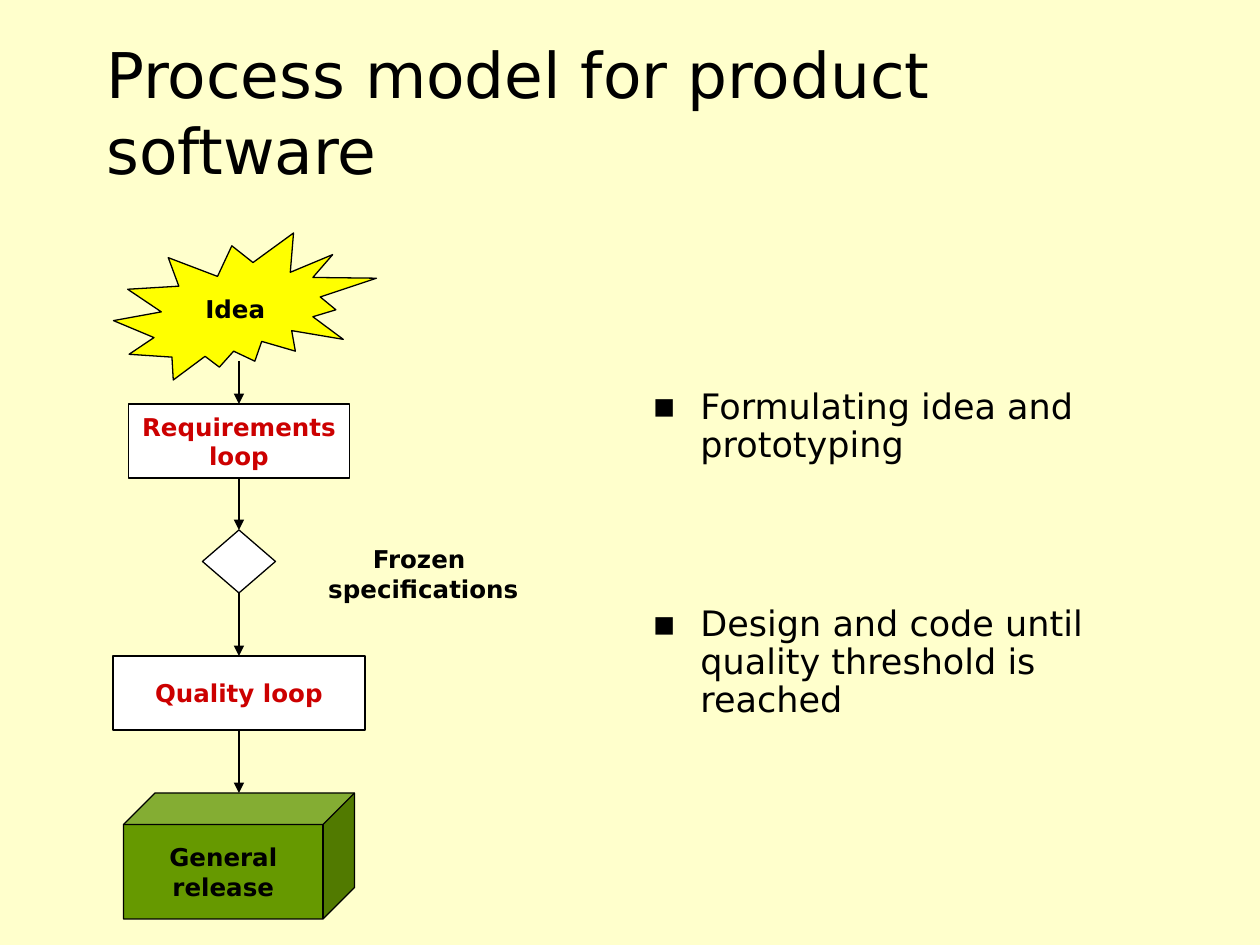
from lxml.etree import SubElement as Sub
from pptx import Presentation
from pptx.dml.color import RGBColor
from pptx.enum.shapes import MSO_CONNECTOR as Conn, MSO_SHAPE as Kind
from pptx.enum.text import MSO_ANCHOR as Anchor, PP_ALIGN as Align
from pptx.oxml.ns import qn
from pptx.util import Emu, Pt

SCALE = 914400 / 126
FONT = "DejaVu Sans"
BLACK, WHITE, RED = "000000", "FFFFFF", "CC0000"
CREAM, YELLOW, GREEN = "FFFFCC", "FFFF00", "669900"
AXIS = 239  # centre line of the flow


def px(n):
    return Emu(round(n * SCALE))


def paint(fmt, color):
    fmt.solid()
    fmt.fore_color.rgb = RGBColor.from_string(color)


def add_run(para, text, size, color=BLACK, bold=False):
    run = para.add_run()
    run.text = text
    run.font.name = FONT
    run.font.size = Pt(size)
    run.font.bold = bold
    run.font.color.rgb = RGBColor.from_string(color)


def set_label(shape, lines, color=BLACK):
    """Centred bold text, with a line break between lines."""
    shape.text_frame.word_wrap = True
    para = shape.text_frame.paragraphs[0]
    para.alignment = Align.CENTER
    for i, line in enumerate(lines):
        if i:
            para.add_line_break()
        add_run(para, line, 14, color, True)


def add_box(slide, x, y, w, h):
    box = slide.shapes.add_textbox(px(x), px(y), px(w), px(h))
    box.text_frame.word_wrap = True
    return box


def add_node(slide, kind, mid, y, w, h, fill, lines=(), color=BLACK):
    node = slide.shapes.add_shape(kind, px(mid - w / 2), px(y), px(w), px(h))
    node.shadow.inherit = False
    paint(node.fill, fill)
    paint(node.line.fill, BLACK)
    node.line.width = Pt(0.75)
    node.text_frame.vertical_anchor = Anchor.MIDDLE
    set_label(node, lines, color)


def add_arrow(slide, top, end):
    arrow = slide.shapes.add_connector(
        Conn.STRAIGHT, px(AXIS), px(top), px(AXIS), px(end))
    paint(arrow.line.fill, BLACK)
    arrow.line.width = Pt(0.75)
    Sub(arrow.line._get_or_add_ln(), qn("a:tailEnd"), type="triangle")
    Sub(arrow._element.spPr, qn("a:effectLst"))


def add_bullet(para, text, gap):
    para.line_spacing = 0.9
    para.space_before = Pt(gap)
    props = para._p.get_or_add_pPr()
    props.set("marL", str(px(48)))
    props.set("indent", str(-px(48)))
    Sub(props, qn("a:buFont"), typeface=FONT)
    Sub(props, qn("a:buChar"), char="▪")
    add_run(para, text, 20)


def main():
    deck = Presentation()
    deck.slide_width, deck.slide_height = px(1260), px(945)
    slide = deck.slides.add_slide(deck.slide_layouts[6])
    paint(slide.background.fill, CREAM)

    # Title
    title = add_box(slide, 94, 32, 1018, 158).text_frame
    title.vertical_anchor = Anchor.MIDDLE
    add_run(title.paragraphs[0], "Process model for product software", 36)

    # Remarks, each level with its loop
    body = add_box(slide, 640, 383, 522, 417).text_frame
    add_bullet(body.paragraphs[0], "Formulating idea and prototyping", 0)
    add_bullet(body.add_paragraph(),
               "Design and code until quality threshold is reached", 81)

    # Flow from idea to release
    add_node(slide, Kind.EXPLOSION2, 245, 233, 263, 147, YELLOW, ["Idea"])
    add_node(slide, Kind.RECTANGLE, AXIS, 404, 221, 74, WHITE,
             ["Requirements loop"], RED)
    add_node(slide, Kind.DIAMOND, AXIS, 530, 73, 63, WHITE)
    add_node(slide, Kind.RECTANGLE, AXIS, 656, 252, 74, WHITE,
             ["Quality loop"], RED)
    add_node(slide, Kind.CUBE, AXIS, 793, 231, 126, GREEN,
             ["General", "release"])
    set_label(add_box(slide, 292, 538, 263, 72), ["Frozen ", "specifications"])

    # Arrows between the steps
    for top, end in [(361, 404), (478, 530), (593, 656), (730, 793)]:
        add_arrow(slide, top, end)

    deck.save("out.pptx")


if __name__ == "__main__":
    main()
